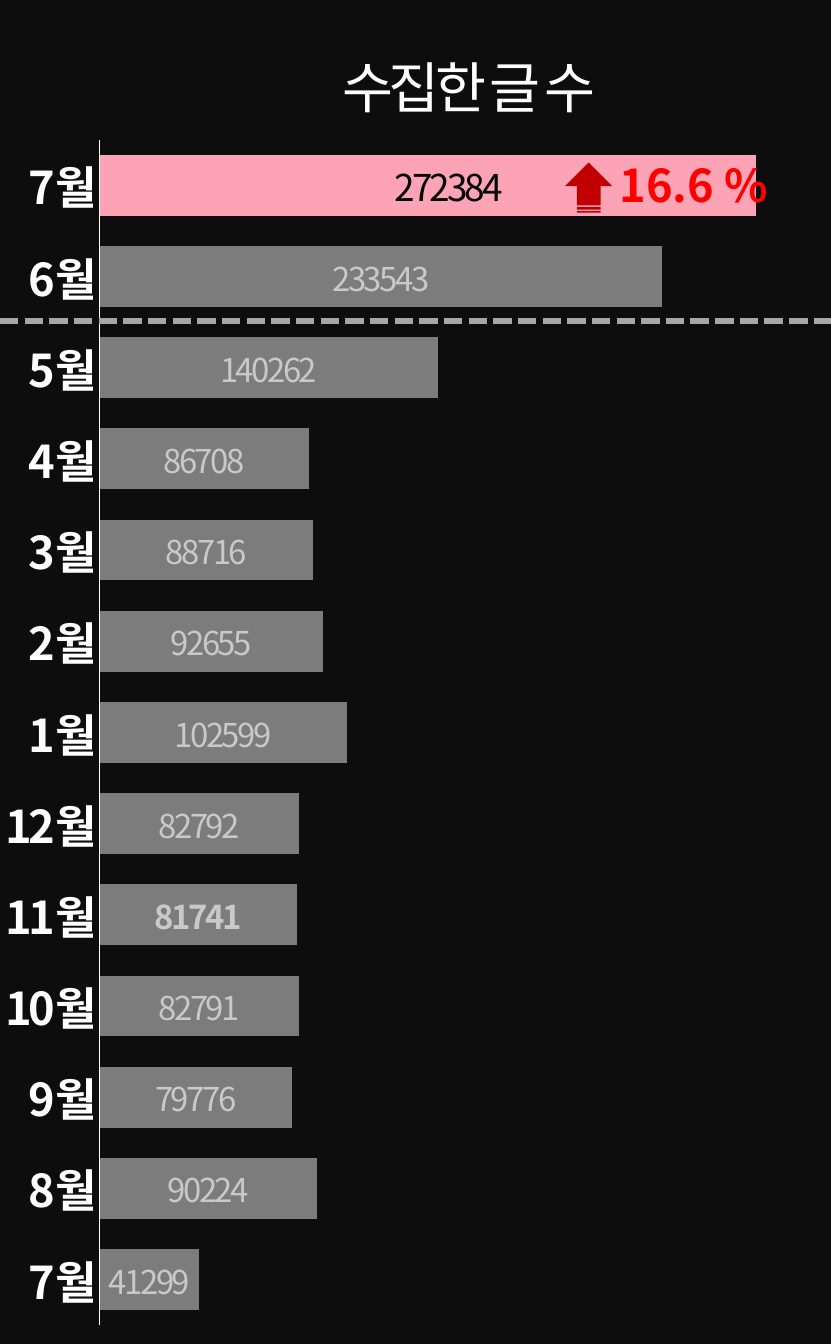
import pptx
import pptx.chart.data
import pptx.dml.color
import pptx.enum.chart
import pptx.enum.dml
import pptx.enum.shapes
import pptx.oxml
import pptx.oxml.ns
import pptx.util

Inches = pptx.util.Inches
Pt = pptx.util.Pt
RGBColor = pptx.dml.color.RGBColor
qn = pptx.oxml.ns.qn

BACKGROUND = RGBColor(0x0D, 0x0D, 0x0D)
WHITE = RGBColor(0xFF, 0xFF, 0xFF)
BLACK = RGBColor(0x00, 0x00, 0x00)
BAR_GREY = RGBColor(0x7C, 0x7C, 0x7C)
LATEST_PINK = RGBColor(0xFC, 0xA4, 0xB5)
LABEL_GREY = RGBColor(0xC9, 0xC9, 0xC9)
DIVIDER_GREY = RGBColor(0xA6, 0xA6, 0xA6)
GROWTH_RED = RGBColor(0xFF, 0x00, 0x00)
ARROW_RED = RGBColor(0xC0, 0x00, 0x00)

KOREAN_FONT = "Noto Sans CJK KR"
TIGHTENING = 0.08
SLIDE_WIDTH, SLIDE_HEIGHT = 11.25, 18.2

MONTHS = ["7월", "8월", "9월", "10월", "11월", "12월", "1월",
          "2월", "3월", "4월", "5월", "6월", "7월"]
POST_COUNTS = [41299, 90224, 79776, 82791, 81741, 82792, 102599,
               92655, 88716, 86708, 140262, 233543, 272384]
NOVEMBER = 4
LATEST = len(MONTHS) - 1

TITLE_FORMAT = {"name": KOREAN_FONT, "size": Pt(54), "bold": False}
MONTH_FORMAT = {"name": KOREAN_FONT, "size": Pt(44), "bold": True}
COUNT_FORMAT = {"name": KOREAN_FONT, "size": Pt(32), "bold": False}
NOVEMBER_FORMAT = COUNT_FORMAT | {"bold": True}
LATEST_FORMAT = COUNT_FORMAT | {"size": Pt(36)}


def format_font(font, values, color):
    for attribute, value in values.items():
        setattr(font, attribute, value)
    font.color.rgb = color


def fill_solid(part, color):
    part.fill.solid()
    part.fill.fore_color.rgb = color


def set_layout(parent, index, **settings):
    """Give a chart part a manual layout, as fractions of the chart."""
    for old in parent.findall(qn("c:layout")):
        parent.remove(old)
    items = "".join(f'<c:{key} val="{value}"/>' for key, value in settings.items())
    parent.insert(index, pptx.oxml.parse_xml(
        f'<c:layout {pptx.oxml.ns.nsdecls("c")}>'
        f"<c:manualLayout>{items}</c:manualLayout></c:layout>"))


def tighten_korean_text(root):
    """Set the East Asian font and narrow the letter spacing in step with the size."""
    for latin in list(root.iter(qn("a:latin"))):
        if latin.get("typeface") == KOREAN_FONT:
            latin.addnext(latin.makeelement(qn("a:ea"), {"typeface": KOREAN_FONT}))
            properties = latin.getparent()
            properties.set("spc", str(-round(int(properties.get("sz")) * TIGHTENING)))


def format_axes(chart):
    months = chart.category_axis
    months.major_tick_mark = pptx.enum.chart.XL_TICK_MARK.NONE
    months.has_major_gridlines = False
    months.format.line.color.rgb = WHITE
    months.format.line.width = Pt(0.75)
    format_font(months.tick_labels.font, MONTH_FORMAT, WHITE)
    every_second = pptx.oxml.parse_xml(
        f'<c:tickLblSkip {pptx.oxml.ns.nsdecls("c")} val="2"/>')
    chart._chartSpace.find(".//" + qn("c:noMultiLvlLbl")).addprevious(every_second)

    counts = chart.value_axis
    for attribute, value in {"visible": False, "has_major_gridlines": False,
                             "minimum_scale": 0, "maximum_scale": 300000}.items():
        setattr(counts, attribute, value)


def format_bars(plot):
    plot.gap_width, plot.overlap, plot.vary_by_categories = 50, 100, False
    bars = plot.series[0]
    fill_solid(bars.format, BAR_GREY)
    fill_solid(bars.points[LATEST].format, LATEST_PINK)

    labels = bars.data_labels
    labels.show_value = True
    labels.position = pptx.enum.chart.XL_LABEL_POSITION.CENTER
    format_font(labels.font, COUNT_FORMAT, LABEL_GREY)
    for index, values, color in ((NOVEMBER, NOVEMBER_FORMAT, LABEL_GREY),
                                 (LATEST, LATEST_FORMAT, BLACK)):
        label = bars.points[index].data_label
        format_font(label.font, values, color)
        label.position = pptx.enum.chart.XL_LABEL_POSITION.CENTER
    latest_label = labels._element.findall(qn("c:dLbl"))[-1]
    set_layout(latest_label, 1, x=0.025, y=0)


def add_posts_chart(slide, left, top, width, height):
    data = pptx.chart.data.CategoryChartData()
    data.categories = MONTHS
    data.add_series("수집한 글 수", POST_COUNTS)
    chart = slide.shapes.add_chart(
        pptx.enum.chart.XL_CHART_TYPE.BAR_STACKED, Inches(left), Inches(top),
        Inches(width), Inches(height), data).chart
    chart.has_legend = False
    format_font(chart.font, {"name": "Calibri", "size": Pt(10)}, WHITE)

    chart.has_title = True
    title = chart.chart_title
    title.text_frame.text = "수집한 글 수"
    format_font(title.text_frame.paragraphs[0].runs[0].font, TITLE_FORMAT, WHITE)
    title.include_in_layout = False
    set_layout(title._element, 1, xMode="edge", yMode="edge", x=0.4, y=0.02)

    format_axes(chart)
    format_bars(chart.plots[0])
    plot_area = chart._chartSpace.find(".//" + qn("c:plotArea"))
    set_layout(plot_area, 0, layoutTarget="inner", xMode="edge", yMode="edge",
               x=0.12, y=0.104, w=0.87, h=0.882)
    tighten_korean_text(chart._chartSpace)


def add_growth(slide, left, top, width, height):
    """Place the up arrow and the growth rate on the latest bar."""
    arrow = slide.shapes.add_shape(
        pptx.enum.shapes.MSO_SHAPE.STRIPED_RIGHT_ARROW,
        Inches(left), Inches(top + 0.14), Inches(0.68), Inches(0.64))
    arrow.rotation = 270
    arrow.shadow.inherit = False
    fill_solid(arrow, ARROW_RED)
    arrow.line.fill.background()

    text_left = 0.66
    rate = slide.shapes.add_textbox(Inches(left + text_left), Inches(top),
                                    Inches(width - text_left), Inches(height))
    rate.text_frame.word_wrap = False
    run = rate.text_frame.paragraphs[0].add_run()
    run.text = "16.6 %"
    format_font(run.font, MONTH_FORMAT, GROWTH_RED)


def add_divider(slide, left, top, width):
    divider = slide.shapes.add_connector(
        pptx.enum.shapes.MSO_CONNECTOR.STRAIGHT,
        Inches(left), Inches(top), Inches(left + width), Inches(top))
    divider.line.color.rgb = DIVIDER_GREY
    divider.line.width = Pt(6)
    divider.line.dash_style = pptx.enum.dml.MSO_LINE.SQUARE_DOT
    properties = divider._element.spPr
    properties.append(properties.makeelement(qn("a:effectLst"), {}))


def main():
    presentation = pptx.Presentation()
    presentation.slide_width = Inches(SLIDE_WIDTH)
    presentation.slide_height = Inches(SLIDE_HEIGHT)
    slide = presentation.slides.add_slide(presentation.slide_layouts[6])
    fill_solid(slide.background, BACKGROUND)
    add_posts_chart(slide, 0, 0, SLIDE_WIDTH, SLIDE_HEIGHT)
    add_growth(slide, 7.63, 2.08, 2.9, 0.84)
    add_divider(slide, 0, 4.35, SLIDE_WIDTH)
    presentation.save("out.pptx")


if __name__ == "__main__":
    main()
